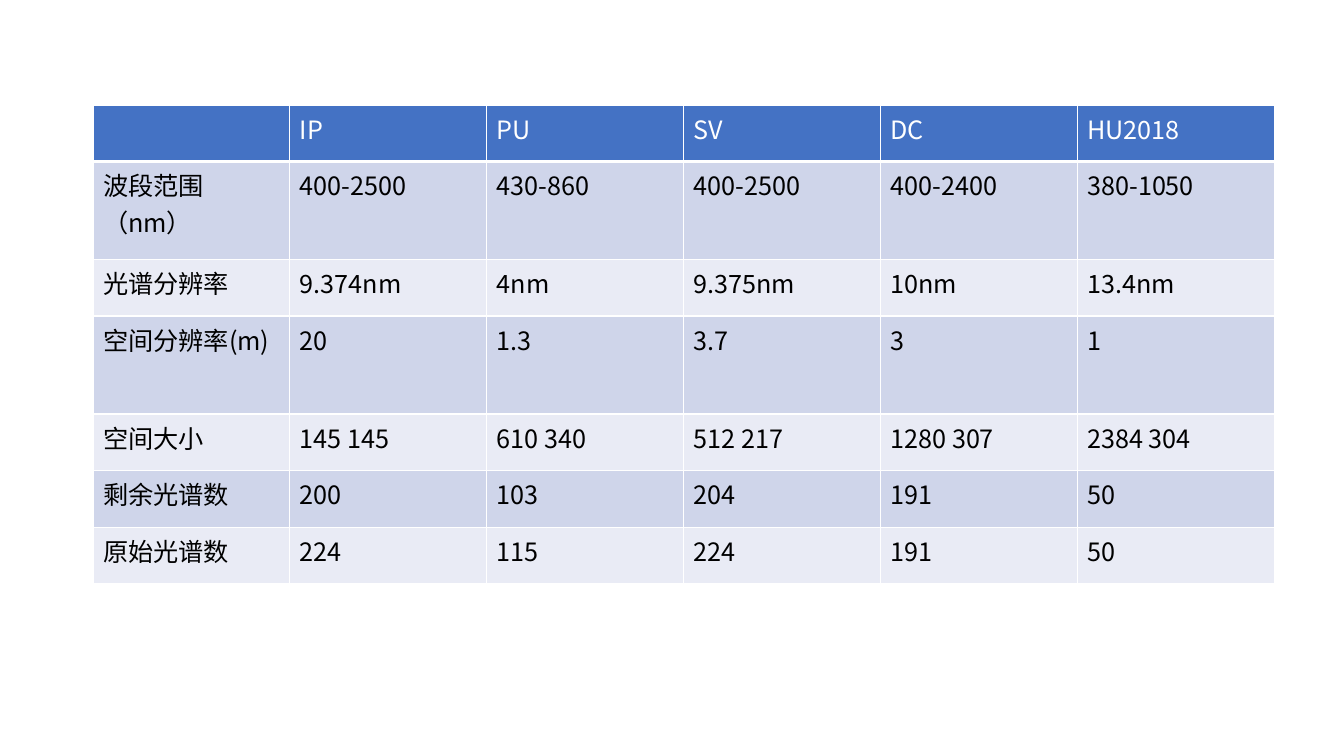
from lxml import etree
from pptx import Presentation
from pptx.dml.color import RGBColor
from pptx.oxml.ns import qn
from pptx.util import Pt

FONT = "Noto Sans CJK SC"
WHITE = RGBColor(0xFF, 0xFF, 0xFF)
BLACK = RGBColor(0x00, 0x00, 0x00)
HEADER_BLUE = RGBColor(0x44, 0x72, 0xC4)
BAND_DARK = RGBColor(0xCF, 0xD5, 0xEA)
BAND_LIGHT = RGBColor(0xE9, 0xEB, 0xF5)
BLANK_LAYOUT = 6
COLUMN_WIDTH = 140.64

DATASET_ROWS = [
    (40.4, ["", "IP", "PU", "SV", "DC", "HU2018"]),
    (70, ["波段范围（nm）", "400-2500", "430-860", "400-2500", "400-2400", "380-1050"]),
    (40.4, ["光谱分辨率", "9.374nm", "4nm", "9.375nm", "10nm", "13.4nm"]),
    (70, ["空间分辨率(m)", "20", "1.3", "3.7", "3", "1"]),
    (40.4, ["空间大小", "145 145", "610 340", "512 217", "1280 307", "2384 304"]),
    (40.4, ["剩余光谱数", "200", "103", "204", "191", "50"]),
    (40.4, ["原始光谱数", "224", "115", "224", "191", "50"]),
]


def write_text(text_frame, text, size=18, color=BLACK, bold=False):
    run = text_frame.paragraphs[0].add_run()
    run.text = text
    run.font.size = Pt(size)
    run.font.bold = bold
    run.font.color.rgb = color
    run.font.name = FONT
    etree.SubElement(run.font._element, qn("a:ea"), typeface=FONT)


def add_borders(cell, bottom_width):
    properties = cell._tc.get_or_add_tcPr()
    for side, width in (("L", 1), ("R", 1), ("T", 1), ("B", bottom_width)):
        line = etree.SubElement(properties, qn(f"a:ln{side}"), w=str(Pt(width)))
        fill = etree.SubElement(line, qn("a:solidFill"))
        etree.SubElement(fill, qn("a:srgbClr"), val=str(WHITE))


presentation = Presentation()
presentation.slide_width = Pt(960)
presentation.slide_height = Pt(540)
slide = presentation.slides.add_slide(presentation.slide_layouts[BLANK_LAYOUT])

table = slide.shapes.add_table(
    len(DATASET_ROWS), 6, Pt(66.4), Pt(75), Pt(6 * COLUMN_WIDTH), Pt(342)
).table
for column in table.columns:
    column.width = Pt(COLUMN_WIDTH)

for row_index, (height, values) in enumerate(DATASET_ROWS):
    is_header = row_index == 0
    band_color = BAND_DARK if row_index % 2 else BAND_LIGHT
    table.rows[row_index].height = Pt(height)
    for column_index, value in enumerate(values):
        cell = table.cell(row_index, column_index)
        add_borders(cell, bottom_width=3 if is_header else 1)
        cell.fill.solid()
        cell.fill.fore_color.rgb = HEADER_BLUE if is_header else band_color
        if value:
            write_text(cell.text_frame, value, color=WHITE if is_header else BLACK)

presentation.save("out.pptx")
